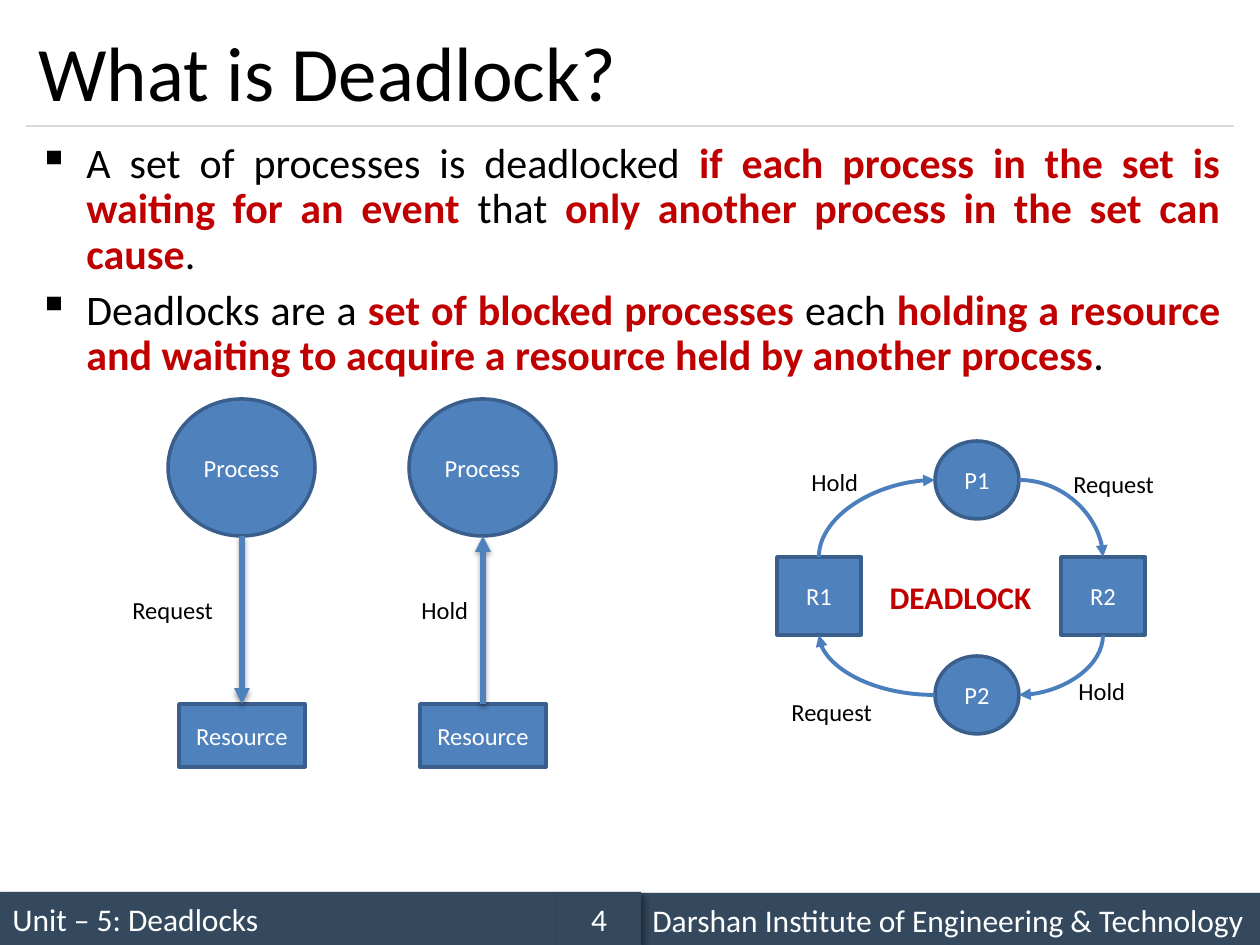
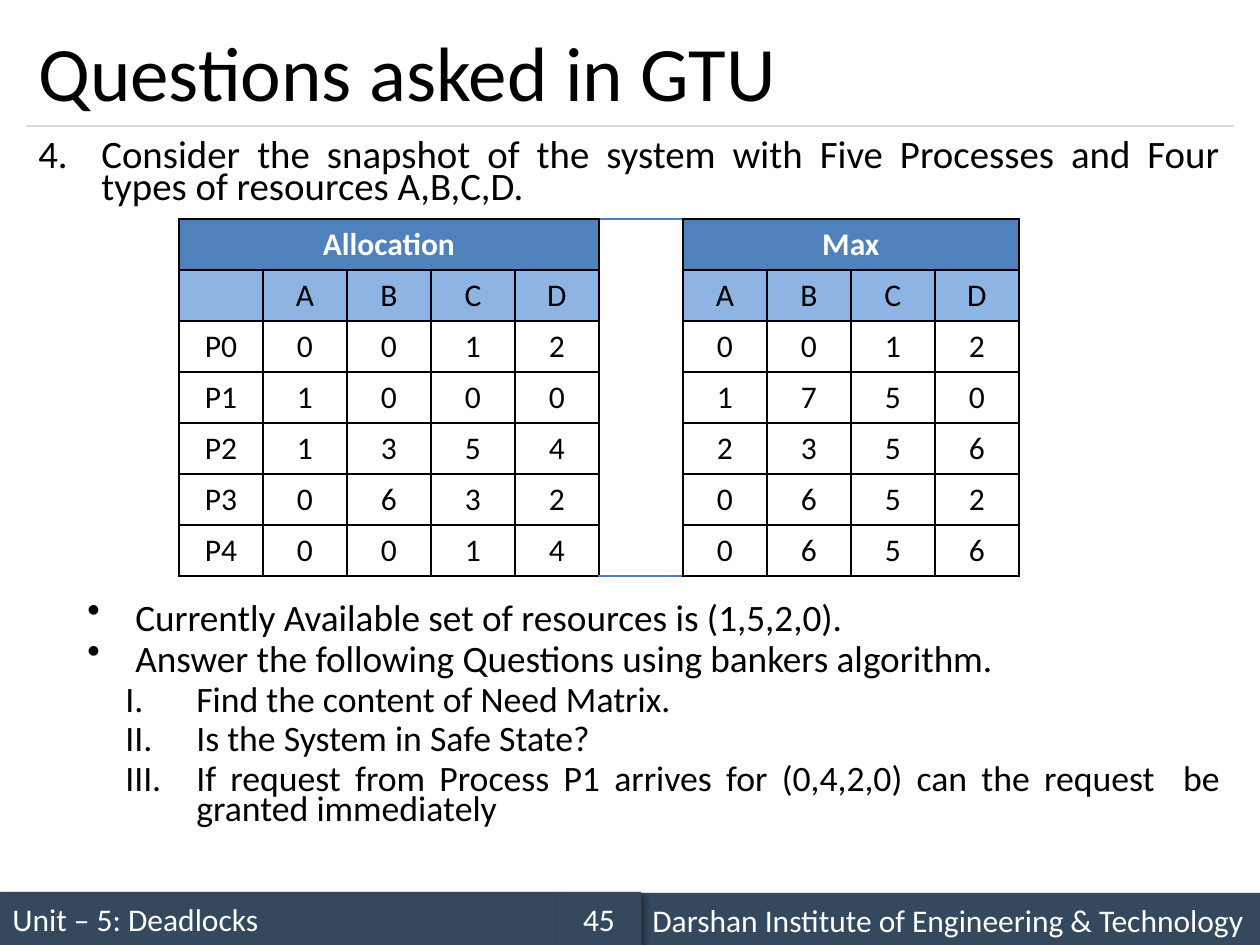
from dataclasses import dataclass

from lxml import etree
from pptx import Presentation
from pptx.dml.color import RGBColor
from pptx.enum.shapes import MSO_CONNECTOR, MSO_SHAPE
from pptx.enum.text import MSO_ANCHOR, PP_ALIGN
from pptx.oxml.ns import qn
from pptx.util import Pt

RECT, OVAL = MSO_SHAPE.RECTANGLE, MSO_SHAPE.OVAL
LINE, CURVE = MSO_CONNECTOR.STRAIGHT, MSO_CONNECTOR.CURVE
LEFT, MID, FULL = PP_ALIGN.LEFT, PP_ALIGN.CENTER, PP_ALIGN.JUSTIFY
TOP, CENTRE = MSO_ANCHOR.TOP, MSO_ANCHOR.MIDDLE
SCALE = 914400 / 126


@dataclass(frozen=True)
class Theme:
    font: str = "Calibri"
    ink: str = "000000"
    paper: str = "FFFFFF"
    band: str = "34495E"
    rule: str = "D9D9D9"
    accent: str = "C00000"
    node: str = "4F81BD"
    edge: str = "3A5F8C"
    curve: str = "4B7EBC"
    pale: str = "8EB4E3"
    title: float = 44
    body: float = 24
    query: float = 22.2
    point: float = 21.3
    step: float = 20.4
    mid: float = 18
    small: float = 14


THEME = Theme()


def px(*sizes):
    return [round(size * SCALE) for size in sizes]


def rgb(code):
    return RGBColor.from_string(code)


def sub(parent, tag, **attrs):
    node = etree.SubElement(parent, qn(tag))
    for key, value in attrs.items():
        node.set(key, str(value))
    return node


def shade(shape, blur=0, dist=0, angle=0, alpha=0):
    effects = sub(shape._element.spPr, "a:effectLst")
    if alpha:
        cast = sub(effects, "a:outerShdw", blurRad=Pt(blur), dist=Pt(dist),
                   dir=angle * 60000, algn="tl", rotWithShape=0)
        tint = sub(cast, "a:srgbClr", val=THEME.ink)
        sub(tint, "a:alpha", val=alpha * 1000)


def style(para, size, color, align=LEFT, bold=False):
    para.alignment = align
    font = para.font
    font.name, font.size, font.bold = THEME.font, Pt(size), bold
    font.color.rgb = rgb(color)


def write(shape, text, size, color, align=LEFT, anchor=CENTRE, bold=False):
    frame = shape.text_frame
    frame.word_wrap, frame.vertical_anchor = True, anchor
    para = frame.paragraphs[0]
    para.text = text
    style(para, size, color, align, bold)


def label(slide, text, box, size=THEME.small, color=THEME.ink, **looks):
    write(slide.shapes.add_textbox(*px(*box)), text, size, color, **looks)


def band(slide, text, box, align=LEFT):
    shape = slide.shapes.add_shape(RECT, *px(*box))
    shape.fill.solid()
    shape.fill.fore_color.rgb = rgb(THEME.band)
    shape.line.fill.background()
    shade(shape, blur=4, dist=3, angle=45, alpha=40)
    write(shape, text, THEME.mid, THEME.paper, align)


def node(slide, kind, text, box):
    shape = slide.shapes.add_shape(kind, *px(*box))
    shape.shadow.inherit = False
    shape.fill.solid()
    shape.fill.fore_color.rgb = rgb(THEME.node)
    shape.line.color.rgb = rgb(THEME.edge)
    shape.line.width = Pt(2)
    write(shape, text, THEME.small, THEME.paper, MID)


def link(slide, kind, ends, color, width, tip=None, **shadow):
    line = slide.shapes.add_connector(kind, *px(*ends))
    line.line.color.rgb = rgb(color)
    line.line.width = Pt(width)
    if kind == CURVE:
        line._element.spPr.find(qn("a:prstGeom")).set("prst", "curvedConnector2")
    if tip:
        sub(line._element.spPr.find(qn("a:ln")), tip, type="triangle")
    shade(line, **shadow)


def mark(para, margin, hang, tag, **attrs):
    props = para._p.get_or_add_pPr()
    left, indent = px(margin, -hang)
    props.set("marL", str(left))
    props.set("indent", str(indent))
    sub(props, tag, **attrs)


def listing(slide, box, items, spacing, gap):
    frame = slide.shapes.add_textbox(*px(*box)).text_frame
    frame.word_wrap, frame.vertical_anchor = True, TOP
    for i, (text, size, margin, hang, tag, attrs) in enumerate(items):
        para = frame.add_paragraph() if i else frame.paragraphs[0]
        mark(para, margin, hang, tag, **attrs)
        para.line_spacing = spacing
        if i:
            para.space_before = Pt(gap)
        style(para, size, THEME.ink, FULL)
        for j, piece in enumerate(text.split("*")):
            run = para.add_run()
            run.text = piece
            if j % 2:
                run.font.bold = True
                run.font.color.rgb = rgb(THEME.accent)


def border(cell, color, width, sides):
    props = cell._tc.get_or_add_tcPr()
    for side in sides:
        line = sub(props, f"a:ln{side}", w=Pt(width))
        sub(sub(line, "a:solidFill"), "a:srgbClr", val=color)


def grid(slide, rows, spot, pitch, gap):
    high, wide = len(rows), len(rows[0])
    size = (wide * pitch[0], high * pitch[1])
    table = slide.shapes.add_table(high, wide, *px(*spot, *size)).table
    for col in table.columns:
        col.width = px(pitch[0])[0]
    for r, row in enumerate(rows):
        table.rows[r].height = px(pitch[1])[0]
        for c, text in enumerate(row):
            cell = table.cell(r, c)
            head = r == 0 and c != gap
            fill = THEME.paper
            if c != gap and r < 2:
                fill = (THEME.node, THEME.pale)[r]
            border(cell, THEME.ink, 1, "LR")
            if c == gap:
                border(cell, THEME.curve, 0.75, "TB")
            else:
                border(cell, THEME.ink, 1, "TB")
            cell.fill.solid()
            cell.fill.fore_color.rgb = rgb(fill)
            para = cell.text_frame.paragraphs[0]
            para.text = text
            style(para, THEME.mid, THEME.paper if head else THEME.ink, MID, head)
    table.cell(0, 0).merge(table.cell(0, gap - 1))
    table.cell(0, gap).merge(table.cell(high - 1, gap))
    table.cell(0, gap + 1).merge(table.cell(0, wide - 1))


def start(deck, title, page):
    slide = deck.slides.add_slide(deck.slide_layouts[6])
    band(slide, "Unit – 5: Deadlocks", (0, 892, 557, 53))
    link(slide, LINE, (26, 126, 1234, 126), THEME.rule, 0.75)
    band(slide, "Darshan Institute of Engineering & Technology",
         (640, 893, 620, 53))
    band(slide, str(page), (557, 892, 84, 53), MID)
    label(slide, title, (26, 15, 1207, 111), THEME.title)
    return slide


def pair(slide, x, text, shift, tip):
    node(slide, RECT, "Resource", (x + 11, 704, 126, 63))
    node(slide, OVAL, "Process", (x, 399, 147, 137))
    link(slide, LINE, (x + 74, 536, x + 74, 704), THEME.node, 3, tip,
         blur=3.1, dist=1.6, angle=90, alpha=38)
    label(slide, text, (x + shift, 588, 116, 43))


def cycle(slide):
    for text, y in (("P1", 441), ("P2", 656)):
        node(slide, OVAL, text, (935, y, 84, 78))
    for text, x in (("R1", 777), ("R2", 1061)):
        node(slide, RECT, text, (x, 557, 84, 78))
    for ends, tip in (
        ((1019, 695, 1103, 635), "a:headEnd"),
        ((935, 695, 819, 635), "a:tailEnd"),
        ((935, 480, 819, 557), "a:headEnd"),
        ((1019, 480, 1103, 557), "a:tailEnd"),
    ):
        link(slide, CURVE, ends, THEME.curve, 2.25, tip)
    for text, x, y in (("Hold", 799, 460), ("Hold", 1066, 669),
                       ("Request", 779, 690), ("Request", 1061, 462)):
        label(slide, text, (x, y, 116, 43))
    label(slide, "DEADLOCK", (874, 571, 173, 51), THEME.mid, THEME.accent,
          align=MID, bold=True)


def define(deck):
    slide = start(deck, "What is Deadlock?", 4)
    texts = (
        "A set of processes is deadlocked *if each process in the set is "
        "waiting for an event *that *only another process in the set can "
        "cause*.",
        "Deadlocks are a *set of blocked processes *each *holding a resource "
        "and waiting to acquire a resource held by another process*.",
    )
    items = [(text, THEME.body, 48, 48, "a:buChar", {"char": "▪"})
             for text in texts]
    listing(slide, (26, 136, 1207, 735), items, 0.9, 6)
    pair(slide, 168, "Request", -48, "a:tailEnd")
    pair(slide, 409, "Hold", 0, "a:headEnd")
    cycle(slide)


def ask(deck):
    slide = start(deck, "Questions asked in GTU", 45)
    query = ("Consider the snapshot of the system with Five Processes and "
             "Four types of resources A,B,C,D.")
    count = {"type": "arabicPeriod", "startAt": 4}
    listing(slide, (26, 136, 1207, 80),
            [(query, THEME.query, 63, 63, "a:buAutoNum", count)], 0.7, 0)
    points = ("Currently Available set of resources is (1,5,2,0).",
              "Answer the following Questions using bankers algorithm.")
    steps = ("Find the content of Need Matrix.",
             "Is the System in Safe State?",
             "If request from Process P1 arrives for (0,4,2,0) can the "
             "request  be granted immediately")
    items = [(text, THEME.point, 97, 48, "a:buChar", {"char": "•"})
             for text in points]
    items += [(text, THEME.step, 158, 71, "a:buAutoNum",
               {"type": "romanUcPeriod"}) for text in steps]
    listing(slide, (26, 600, 1207, 271), items, 0.7, 5.5)
    held = ("0012", "1000", "1354", "0632", "0014")
    most = ("0012", "1750", "2356", "0652", "0656")
    rows = [["Allocation", *[""] * 5, "Max", *[""] * 3],
            ["", *"ABCD", "", *"ABCD"]]
    rows += [[f"P{i}", *has, "", *top]
             for i, (has, top) in enumerate(zip(held, most))]
    grid(slide, rows, (179, 219), (84, 51), gap=5)


def main():
    deck = Presentation()
    deck.slide_width, deck.slide_height = px(1260, 945)
    define(deck)
    ask(deck)
    deck.save("out.pptx")


if __name__ == "__main__":
    main()
